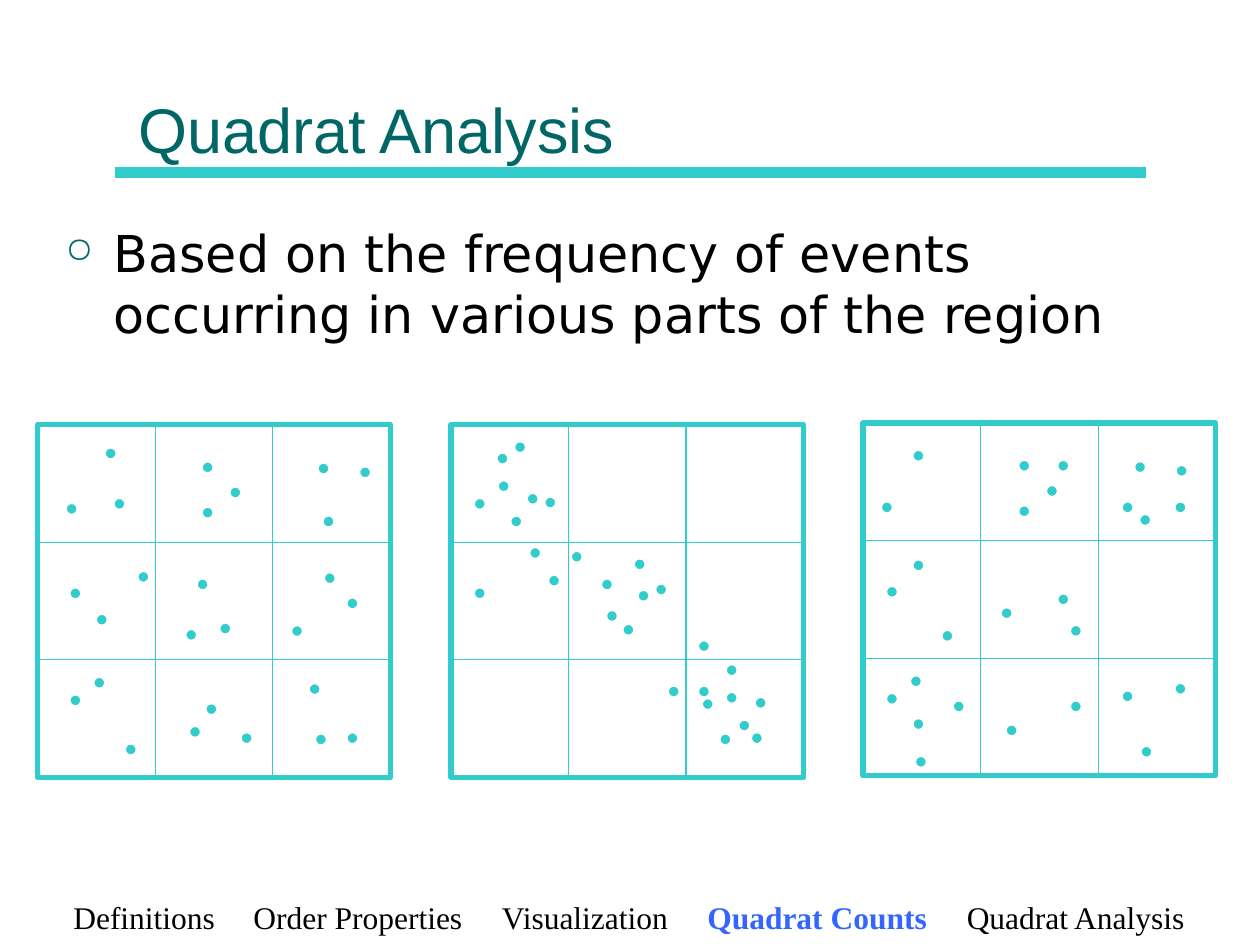
from dataclasses import dataclass

from lxml import etree
from pptx import Presentation
from pptx import util as u
from pptx.dml.color import RGBColor
from pptx.enum import shapes, text
from pptx.oxml import ns


@dataclass(frozen=True)
class Theme:
    accent: str = "33CCCC"
    heading: str = "006666"
    ink: str = "000000"
    current: str = "3366FF"
    paper: str = "FFFFFF"
    heading_font: str = "Arial"
    body_font: str = "DejaVu Sans"
    footer_font: str = "Times New Roman"
    heading_size: int = 36
    body_size: int = 29
    footer_size: int = 18


# Panels: left and top in cm; dot corners in 1/280 of the panel side
SIDE, STEPS, DOT = 7.11, 280, 0.25
PANELS = [
    (0.76, 8.56, [  # evenly spread events
        (144, 157), (53, 18), (245, 244), (60, 58), (215, 205), (130, 65),
        (44, 200), (25, 214), (117, 162), (130, 29), (22, 62), (152, 49),
        (222, 30), (220, 245), (69, 253), (126, 122), (226, 72), (255, 33),
        (46, 150), (25, 129), (79, 116), (245, 137), (161, 244), (201, 159),
        (227, 117), (120, 239), (133, 221)]),
    (9.09, 8.56, [  # clustered events
        (136, 158), (172, 207), (238, 244), (95, 100), (199, 217), (196, 207),
        (37, 44), (18, 58), (123, 147), (196, 171), (77, 119), (218, 190),
        (218, 212), (213, 245), (62, 97), (119, 122), (228, 234), (241, 216),
        (36, 22), (18, 129), (50, 13), (162, 126), (74, 57), (148, 131),
        (145, 106), (47, 72), (60, 54)]),
    (17.4, 8.53, [  # random events
        (164, 220), (164, 160), (154, 29), (39, 108), (205, 62), (123, 65),
        (37, 200), (18, 214), (109, 146), (123, 29), (14, 62), (145, 49),
        (215, 30), (247, 206), (205, 212), (154, 135), (219, 72), (248, 33),
        (62, 164), (18, 129), (220, 256), (41, 264), (39, 21), (39, 234),
        (71, 220), (113, 239), (247, 62)]),
]

# Footer sections with their tab stops in cm
SECTIONS = [("Definitions", 0), ("Order Properties", 3.63),
            ("Visualization", 8.64), ("Quadrat Counts", 12.78),
            ("Quadrat Analysis", 18.01)]
CURRENT_SECTION = "Quadrat Counts"


class SlideBuilder:
    def __init__(self, slide, theme):
        self.slide = slide
        self.theme = theme

    def text_box(self, left, top, width, height, anchor=text.MSO_ANCHOR.TOP):
        """Add an empty wrapping box and return its text frame."""
        box = self.slide.shapes.add_textbox(
            u.Cm(left), u.Cm(top), u.Cm(width), u.Cm(height))
        frame = box.text_frame
        frame.word_wrap = True
        frame.vertical_anchor = anchor
        return frame

    def style(self, paragraph, font, size, color):
        paragraph.font.name = font
        paragraph.font.size = u.Pt(size)
        paragraph.font.color.rgb = RGBColor.from_string(color)

    def bullet(self, paragraph, character, color, percent, indent):
        properties = paragraph._p.get_or_add_pPr()
        properties.set("marL", str(u.Cm(indent)))
        properties.set("indent", str(-u.Cm(indent)))
        bullet_color = etree.SubElement(properties, ns.qn("a:buClr"))
        etree.SubElement(bullet_color, ns.qn("a:srgbClr"), val=color)
        etree.SubElement(properties, ns.qn("a:buSzPct"), val=str(percent * 1000))
        etree.SubElement(properties, ns.qn("a:buChar"), char=character)

    def tabs(self, paragraph, stops):
        tab_list = etree.SubElement(
            paragraph._p.get_or_add_pPr(), ns.qn("a:tabLst"))
        for stop in stops:
            etree.SubElement(
                tab_list, ns.qn("a:tab"), pos=str(u.Cm(stop)), algn="l")

    def line(self, x1, y1, x2, y2, weight):
        connector = self.slide.shapes.add_connector(
            shapes.MSO_CONNECTOR.STRAIGHT,
            u.Cm(x1), u.Cm(y1), u.Cm(x2), u.Cm(y2))
        connector.line.color.rgb = RGBColor.from_string(self.theme.accent)
        connector.line.width = u.Pt(weight)
        etree.SubElement(connector._element.spPr, ns.qn("a:effectLst"))

    def shape(self, kind, left, top, size, outline, weight, fill=None):
        shape = self.slide.shapes.add_shape(
            kind, u.Cm(left), u.Cm(top), u.Cm(size), u.Cm(size))
        shape.shadow.inherit = False
        if fill:
            shape.fill.solid()
            shape.fill.fore_color.rgb = RGBColor.from_string(fill)
        else:
            shape.fill.background()
        shape.line.color.rgb = RGBColor.from_string(outline)
        shape.line.width = u.Pt(weight)

    def panel(self, left, top, dots):
        """Draw a framed three-by-three grid with its events."""
        theme = self.theme
        self.shape(shapes.MSO_SHAPE.RECTANGLE, left, top, SIDE, theme.accent, 3)
        for third in (1, 2):
            offset = SIDE * third / 3
            self.line(left + offset, top, left + offset, top + SIDE, 0.75)
            self.line(left, top + offset, left + SIDE, top + offset, 0.75)
        for x, y in dots:
            self.shape(shapes.MSO_SHAPE.OVAL, left + SIDE * x / STEPS,
                       top + SIDE * y / STEPS, DOT, theme.paper, 1.5,
                       theme.accent)

    def title(self, words):
        theme = self.theme
        self.line(2.31, 3.48, 23.11, 3.48, 6)
        frame = self.text_box(2.54, 0.3, 20.32, 3.18, text.MSO_ANCHOR.BOTTOM)
        paragraph = frame.paragraphs[0]
        paragraph.text = words
        self.style(paragraph, theme.heading_font, theme.heading_size,
                   theme.heading)

    def body(self, words):
        theme = self.theme
        paragraph = self.text_box(1.07, 4.34, 23.19, 11.43).paragraphs[0]
        paragraph.text = words
        self.bullet(paragraph, "○", theme.heading, 70, 0.97)
        self.style(paragraph, theme.body_font, theme.body_size, theme.ink)

    def footer(self, sections, current):
        theme = self.theme
        frame = self.text_box(1.23, 17.98, 23.13, 1.02)
        paragraph = frame.paragraphs[0]
        self.tabs(paragraph, [stop for _, stop in sections[1:]])
        self.style(paragraph, theme.footer_font, theme.footer_size, theme.ink)
        for index, (name, _) in enumerate(sections):
            if index:
                paragraph.add_run().text = "\t"
            run = paragraph.add_run()
            run.text = name
            if name == current:
                run.font.bold = True
                run.font.color.rgb = RGBColor.from_string(theme.current)


def main():
    presentation = Presentation()
    presentation.slide_width = u.Cm(25.4)
    presentation.slide_height = u.Cm(19.05)
    slide = presentation.slides.add_slide(presentation.slide_layouts[6])
    builder = SlideBuilder(slide, Theme())

    # Heading and statement
    builder.title("Quadrat Analysis")
    builder.body("Based on the frequency of events occurring in various "
                 "parts of the region")

    # Point patterns
    for left, top, dots in PANELS:
        builder.panel(left, top, dots)

    # Section navigation
    builder.footer(SECTIONS, CURRENT_SECTION)
    presentation.save("out.pptx")


if __name__ == "__main__":
    main()
